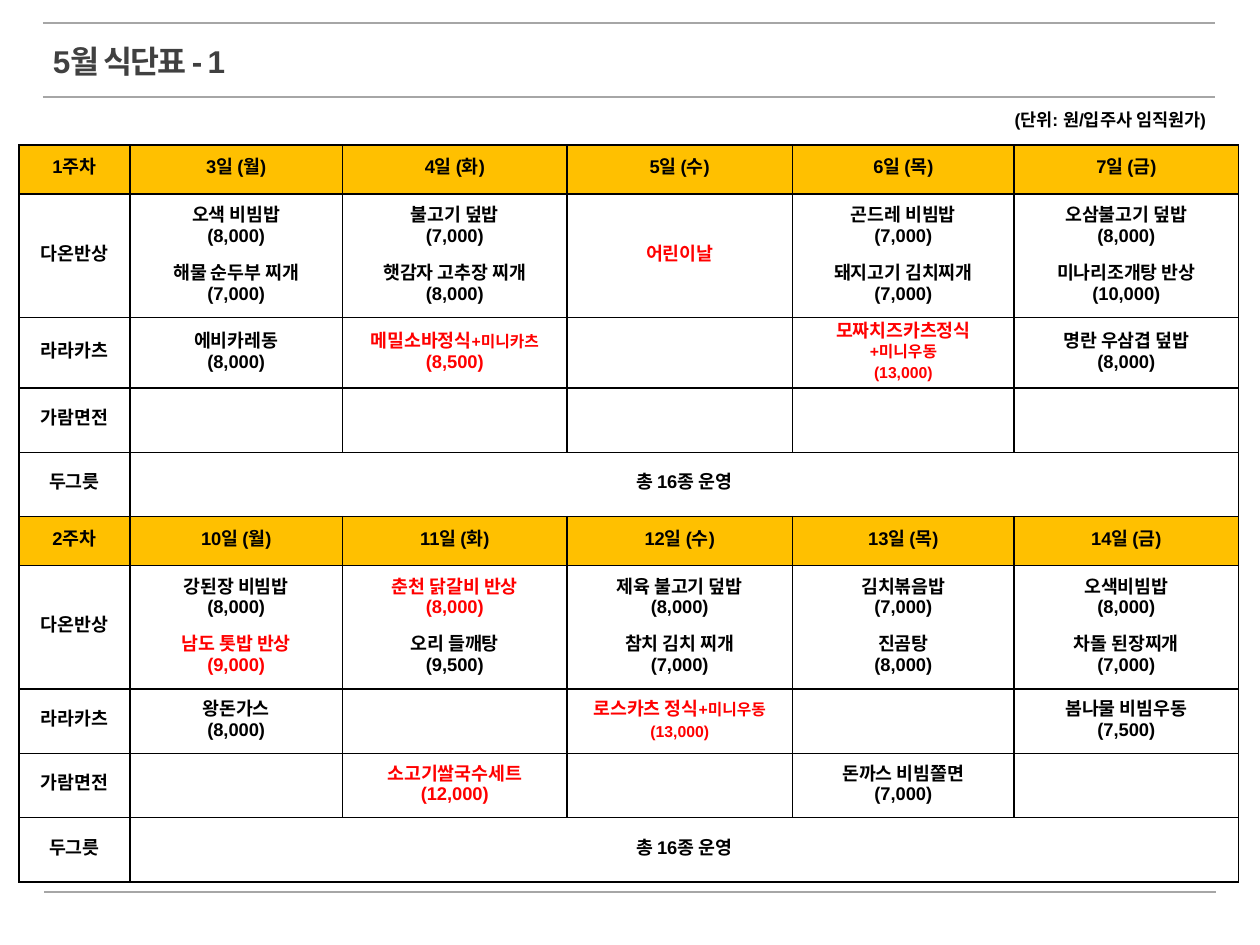
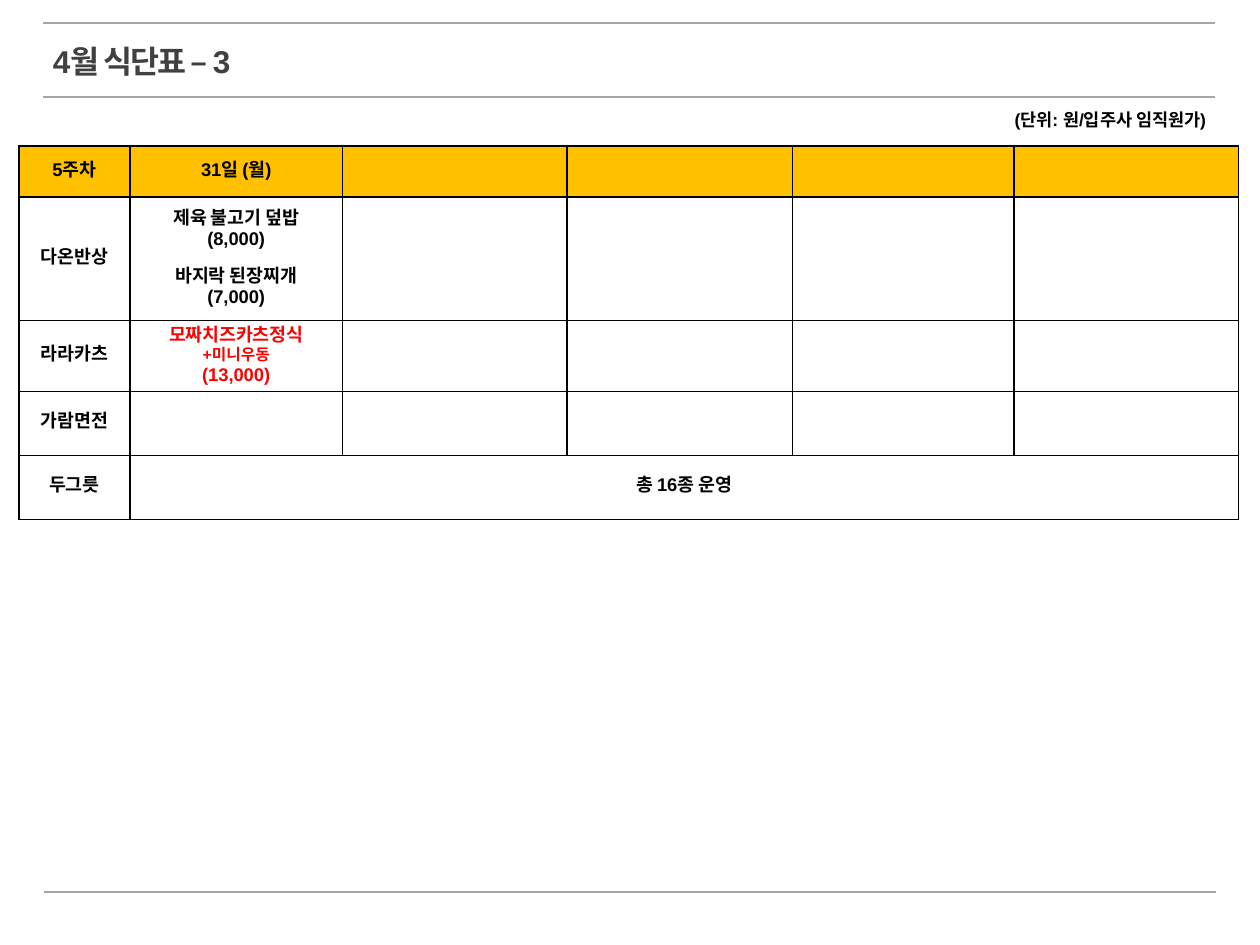
from dataclasses import dataclass

from lxml.etree import SubElement
from pptx import Presentation
from pptx.dml.color import RGBColor
from pptx.enum.shapes import MSO_CONNECTOR
from pptx.enum.text import MSO_ANCHOR, MSO_AUTO_SIZE, PP_ALIGN
from pptx.oxml import parse_xml
from pptx.oxml.ns import nsdecls, qn
from pptx.util import Inches, Pt

FONT = "Arial"
BLACK, RED, WHITE = "000000", "FF0000", "FFFFFF"
TITLE_GREY, RULE_GREY, HEADER_GOLD = "404040", "A6A6A6", "FFC000"
TEXT_SIZE, SIDE_SIZE, LINE_PITCH = 10.5, 9, 11
COLUMN_WIDTHS = (0.88, 1.69, 1.78, 1.79, 1.76, 1.78)
HEADER_HEIGHT, MAIN_HEIGHT, TALL_HEIGHT, ROW_HEIGHT = 0.39, 0.98, 0.56, 0.51
TABLE_LEFT = 0.15
WEEKDAYS = "월화수목금"
STALLS = ("다온반상", "라라카츠", "가람면전")
SPOON_STALL, SPOON_NOTE = "두그릇", "총 16종 운영"
UNIT_NOTE = "(단위: 원/입주사 임직원가)"


@dataclass(frozen=True)
class Rule:
    """A horizontal line across the page."""
    left: float
    right: float
    top: float


@dataclass(frozen=True)
class Dish:
    """A dish with its price; a special one is shown in red."""
    name: str
    price: str = ""
    special: bool = False
    side: str = ""
    side_below: bool = False
    price_size: float = TEXT_SIZE


@dataclass(frozen=True)
class Week:
    """A week of menus: for each stall, dishes by weekday index."""
    number: int
    first_day: int
    day_count: int
    menus: tuple[dict[int, tuple[Dish, ...]], ...]

    def row_heights(self) -> list[float]:
        """Return the heights of the header, the stalls and the closing row."""
        tall = any(dish.side_below for dishes in self.menus[1].values() for dish in dishes)
        return [HEADER_HEIGHT, MAIN_HEIGHT, TALL_HEIGHT if tall else ROW_HEIGHT,
                ROW_HEIGHT, ROW_HEIGHT]


@dataclass(frozen=True)
class MenuPage:
    """The title, table position and weeks of one slide."""
    title: str
    table_top: float
    weeks: tuple[Week, ...]


RULES = (Rule(0.34, 9.64, 0.18), Rule(0.34, 9.64, 0.77), Rule(0.35, 9.65, 7.08))

WEEK_ONE = Week(1, 3, 5, (
    {
        0: (Dish("오색 비빔밥", "8,000"), Dish("해물 순두부 찌개", "7,000")),
        1: (Dish("불고기 덮밥", "7,000"), Dish("햇감자 고추장 찌개", "8,000")),
        2: (Dish("어린이날", special=True),),
        3: (Dish("곤드레 비빔밥", "7,000"), Dish("돼지고기 김치찌개", "7,000")),
        4: (Dish("오삼불고기 덮밥", "8,000"), Dish("미나리조개탕 반상", "10,000")),
    },
    {
        0: (Dish("에비카레동", "8,000"),),
        1: (Dish("메밀소바정식", "8,500", True, "+미니카츠"),),
        3: (Dish("모짜치즈카츠정식", "13,000", True, "+미니우동", True, SIDE_SIZE),),
        4: (Dish("명란 우삼겹 덮밥", "8,000"),),
    },
    {},
))
WEEK_TWO = Week(2, 10, 5, (
    {
        0: (Dish("강된장 비빔밥", "8,000"), Dish("남도 톳밥 반상", "9,000", True)),
        1: (Dish("춘천 닭갈비 반상", "8,000", True), Dish("오리 들깨탕", "9,500")),
        2: (Dish("제육 불고기 덮밥", "8,000"), Dish("참치 김치 찌개", "7,000")),
        3: (Dish("김치볶음밥", "7,000"), Dish("진곰탕", "8,000")),
        4: (Dish("오색비빔밥", "8,000"), Dish("차돌 된장찌개", "7,000")),
    },
    {
        0: (Dish("왕돈가스", "8,000"),),
        2: (Dish("로스카츠 정식", "13,000", True, "+미니우동", price_size=SIDE_SIZE),),
        4: (Dish("봄나물 비빔우동", "7,500"),),
    },
    {
        1: (Dish("소고기쌀국수세트", "12,000", True),),
        3: (Dish("돈까스 비빔쫄면", "7,000"),),
    },
))
WEEK_FIVE = Week(5, 31, 1, (
    {0: (Dish("제육 불고기 덮밥", "8,000"), Dish("바지락 된장찌개", "7,000"))},
    {0: (Dish("모짜치즈카츠정식", "13,000", True, "+미니우동", True),)},
    {},
))
PAGES = (
    MenuPage("5월 식단표 - 1", 1.15, (WEEK_ONE, WEEK_TWO)),
    MenuPage("4월 식단표 – 3", 1.16, (WEEK_FIVE,)),
)


def paint(target, colour: str) -> None:
    """Give a fill or font colour a hex value."""
    if hasattr(target, "solid"):
        target.solid()
        target = target.fore_color
    target.rgb = RGBColor.from_string(colour)


def style_span(span, size: float, colour: str) -> None:
    """Format a run in the bold text face."""
    span.font.name = FONT
    span.font.size = Pt(size)
    span.font.bold = True
    paint(span.font.color, colour)


def draw_rule(page, rule: Rule) -> None:
    """Draw one thin grey line."""
    line = page.shapes.add_connector(
        MSO_CONNECTOR.STRAIGHT, Inches(rule.left), Inches(rule.top),
        Inches(rule.right), Inches(rule.top))
    line.line.width = Pt(1)
    paint(line.line.color, RULE_GREY)
    SubElement(line.element.spPr, qn("a:effectLst"))


def draw_title(page, title: str) -> None:
    """Place and format the title placeholder."""
    box = page.shapes.title
    box.left, box.top, box.width, box.height = map(Inches, (0.32, 0.28, 5.24, 0.4))
    frame = box.text_frame
    frame.text = title
    frame.auto_size = MSO_AUTO_SIZE.NONE
    frame.vertical_anchor = MSO_ANCHOR.MIDDLE
    para = frame.paragraphs[0]
    para.alignment = PP_ALIGN.LEFT
    span = para.runs[0]
    style_span(span, 18, TITLE_GREY)
    span.font._element.set("spc", "-100")


def draw_unit_note(page) -> None:
    """Write the price unit above the table."""
    box = page.shapes.add_textbox(Inches(7), Inches(0.82), Inches(2.67), Inches(0.27))
    frame = box.text_frame
    frame.word_wrap = True
    frame.text = UNIT_NOTE
    para = frame.paragraphs[0]
    para.alignment = PP_ALIGN.RIGHT
    style_span(para.runs[0], 10, BLACK)


def format_cell(cell, fill: str) -> None:
    """Set the fill, anchor and borders of a cell."""
    cell.vertical_anchor = MSO_ANCHOR.MIDDLE
    paint(cell.fill, fill)
    properties = cell._tc.get_or_add_tcPr()
    for index, side in enumerate(("lnL", "lnR", "lnT", "lnB")):
        properties.insert(index, parse_xml(
            f'<a:{side} {nsdecls("a")} w="{Pt(1)}"><a:solidFill>'
            f'<a:srgbClr val="{BLACK}"/></a:solidFill></a:{side}>'))


def write_dishes(cell, dishes: tuple[Dish, ...]) -> None:
    """Write dishes in a cell, with one line of space between them."""
    frame = cell.text_frame
    for number, dish in enumerate(dishes):
        lines = [[(dish.name, TEXT_SIZE)]]
        if dish.side:
            side = (dish.side, SIDE_SIZE)
            if dish.side_below:
                lines.append([side])
            else:
                lines[0].append(side)
        if dish.price:
            lines.append([(f"({dish.price})", dish.price_size)])
        for position, line in enumerate(lines):
            first = number == 0 and position == 0
            para = frame.paragraphs[0] if first else frame.add_paragraph()
            para.alignment = PP_ALIGN.CENTER
            para.line_spacing = Pt(LINE_PITCH)
            if number and position == 0:
                para.space_before = Pt(LINE_PITCH)
            for text, size in line:
                span = para.add_run()
                span.text = text
                style_span(span, size, RED if dish.special else BLACK)


def fill_week(table, week: Week, top_row: int) -> None:
    """Write one week into the table from the given row down."""
    def write(row: int, column: int, text: str) -> None:
        """Write one plain label."""
        write_dishes(table.cell(top_row + row, column), (Dish(text),))

    write(0, 0, f"{week.number}주차")
    for offset, weekday in enumerate(WEEKDAYS[:week.day_count]):
        write(0, offset + 1, f"{week.first_day + offset}일 ({weekday})")
    for row, (stall, menu) in enumerate(zip(STALLS, week.menus), start=1):
        write(row, 0, stall)
        for day, dishes in menu.items():
            write_dishes(table.cell(top_row + row, day + 1), dishes)
    last = len(STALLS) + 1
    write(last, 0, SPOON_STALL)
    write(last, 1, SPOON_NOTE)
    table.cell(top_row + last, 1).merge(table.cell(top_row + last, len(WEEKDAYS)))


def draw_menu_table(page, menu_page: MenuPage) -> None:
    """Draw the table with all the weeks of a page."""
    heights = [height for week in menu_page.weeks for height in week.row_heights()]
    table = page.shapes.add_table(
        len(heights), len(COLUMN_WIDTHS), Inches(TABLE_LEFT), Inches(menu_page.table_top),
        Inches(sum(COLUMN_WIDTHS)), Inches(sum(heights))).table
    table.first_row = table.horz_banding = False
    for column, width in zip(table.columns, COLUMN_WIDTHS):
        column.width = Inches(width)
    week_rows = len(STALLS) + 2
    for index, (row, height) in enumerate(zip(table.rows, heights)):
        row.height = Inches(height)
        for cell in row.cells:
            format_cell(cell, WHITE if index % week_rows else HEADER_GOLD)
    for number, week in enumerate(menu_page.weeks):
        fill_week(table, week, number * week_rows)


def main() -> None:
    """Build the menu deck and save it."""
    deck = Presentation()
    deck.slide_width, deck.slide_height = Inches(10), Inches(7.5)
    title_only = deck.slide_layouts[5]
    for menu_page in PAGES:
        page = deck.slides.add_slide(title_only)
        for rule in RULES:
            draw_rule(page, rule)
        draw_title(page, menu_page.title)
        draw_menu_table(page, menu_page)
        draw_unit_note(page)
    deck.save("out.pptx")


if __name__ == "__main__":
    main()
